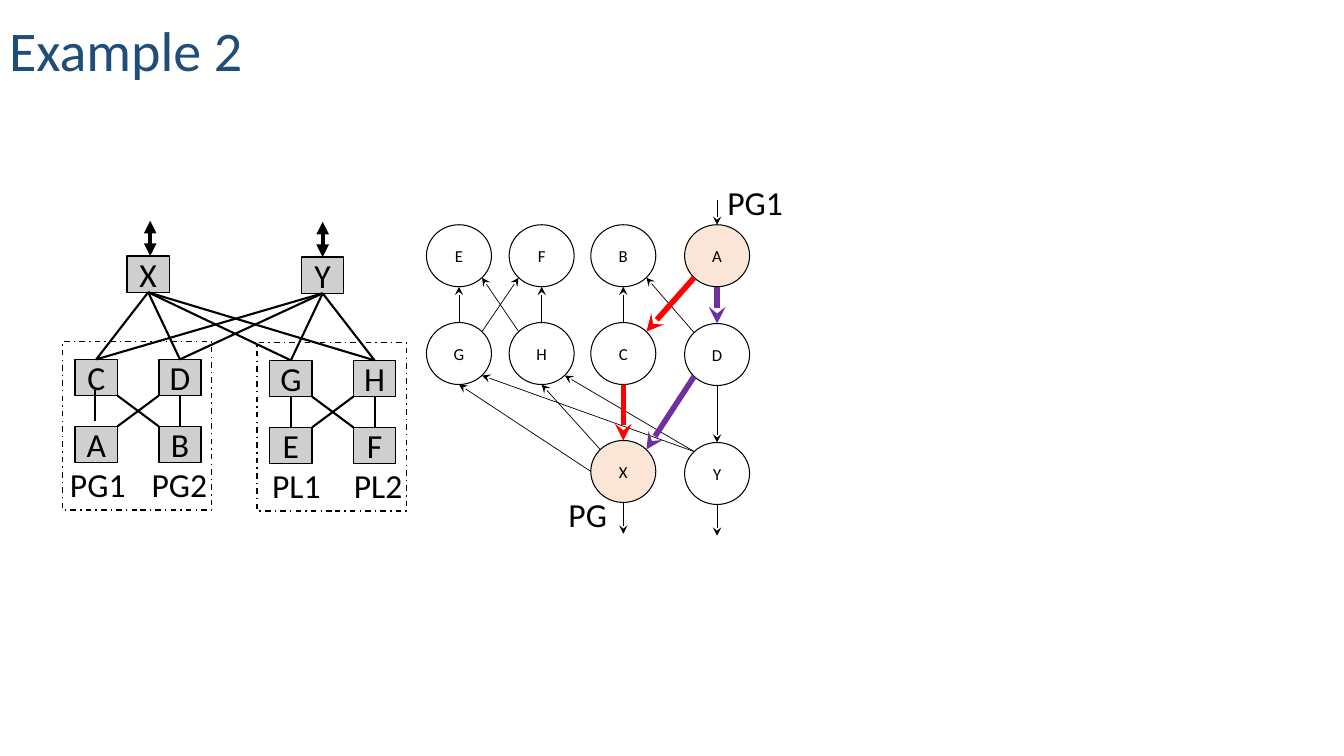
import dataclasses

import pptx
import pptx.dml.color
import pptx.enum.dml
import pptx.enum.shapes
import pptx.enum.text
import pptx.oxml.ns
import pptx.oxml.xmlchemy
import pptx.util

SHAPE = pptx.enum.shapes.MSO_SHAPE
ALIGN = pptx.enum.text.PP_ALIGN
ANCHOR = pptx.enum.text.MSO_ANCHOR


@dataclasses.dataclass(frozen=True)
class Theme:
    font: str = "Calibri"
    title_size: int = 40
    label_size: int = 24
    node_size: int = 12
    title: str = "1F4E79"
    ink: str = "000000"
    paper: str = "FFFFFF"
    switch: str = "D0CECE"
    endpoint: str = "FBE5D6"
    red_route: str = "FF0000"
    purple_route: str = "7030A0"


class Board:
    """Draws on one slide, in grid cells a tenth of an inch wide and high."""

    CELL = pptx.util.Inches(0.1)
    SIDES = {"n": (0, -1), "s": (0, 1), "w": (-1, 0), "e": (1, 0)}

    def __init__(self, slide, theme):
        self.slide = slide
        self.theme = theme

    def cells(self, *counts):
        return [round(count * self.CELL) for count in counts]

    def color(self, value):
        return pptx.dml.color.RGBColor.from_string(value)

    def add_text(self, shape, text, size, color, align=ALIGN.CENTER):
        paragraph = shape.text_frame.paragraphs[0]
        paragraph.alignment = align
        run = paragraph.add_run()
        run.text = text
        run.font.name = self.theme.font
        run.font.size = pptx.util.Pt(size)
        run.font.color.rgb = self.color(color)
        return paragraph

    def title(self, text, box):
        shape = self.slide.shapes.title
        shape.left, shape.top, shape.width, shape.height = self.cells(*box)
        shape.text_frame.vertical_anchor = ANCHOR.BOTTOM
        paragraph = self.add_text(shape, text, self.theme.title_size, self.theme.title, ALIGN.LEFT)
        paragraph.line_spacing = 0.9

    def caption(self, text, box):
        shape = self.slide.shapes.add_textbox(*self.cells(*box))
        shape.text_frame.word_wrap = True
        shape.text_frame.margin_left = shape.text_frame.margin_right = 0
        self.add_text(shape, text, self.theme.label_size, self.theme.ink)

    def outline(self, kind, box, fill=None, weight=1.0):
        shape = self.slide.shapes.add_shape(kind, *self.cells(*box))
        shape.shadow.inherit = False
        if fill:
            shape.fill.solid()
            shape.fill.fore_color.rgb = self.color(fill)
        else:
            shape.fill.background()
        shape.line.color.rgb = self.color(self.theme.ink)
        shape.line.width = pptx.util.Pt(weight)
        return shape

    def node(self, kind, box, text, size, fill, weight):
        shape = self.outline(kind, box, fill, weight)
        frame = shape.text_frame
        frame.word_wrap = False
        frame.vertical_anchor = ANCHOR.MIDDLE
        frame.margin_left = frame.margin_right = frame.margin_top = frame.margin_bottom = 0
        self.add_text(shape, text, size, self.theme.ink)
        return shape

    def port(self, shape, direction):
        """Point on the edge of a shape in a compass direction."""
        across = sum(self.SIDES[side][0] for side in direction)
        down = sum(self.SIDES[side][1] for side in direction)
        round_corner = shape.auto_shape_type == SHAPE.OVAL and len(direction) == 2
        reach = 0.71 if round_corner else 1
        x = shape.left + shape.width * (1 + reach * across) / 2
        y = shape.top + shape.height * (1 + reach * down) / 2
        return x / self.CELL, y / self.CELL

    def line(self, start, end, weight, color=None, head=None, tail=None):
        connector = self.slide.shapes.add_connector(
            pptx.enum.shapes.MSO_CONNECTOR.STRAIGHT, *self.cells(*start, *end))
        connector.line.color.rgb = self.color(color or self.theme.ink)
        connector.line.width = pptx.util.Pt(weight)
        properties = connector._element.spPr
        stroke = properties.find(pptx.oxml.ns.qn("a:ln"))
        for tag, arrow in (("a:headEnd", head), ("a:tailEnd", tail)):
            if arrow:
                stroke.append(pptx.oxml.xmlchemy.OxmlElement(tag))
                stroke[-1].set("type", arrow)
        properties.append(pptx.oxml.xmlchemy.OxmlElement("a:effectLst"))

    def link(self, start, start_side, end, end_side, weight, **style):
        self.line(self.port(start, start_side), self.port(end, end_side), weight, **style)


# Slide and title
theme = Theme()
presentation = pptx.Presentation()
presentation.slide_width = pptx.util.Inches(13.33)
presentation.slide_height = pptx.util.Inches(7.5)
board = Board(presentation.slides.add_slide(presentation.slide_layouts[5]), theme)
board.title("Example 2", (-0.1, -0.5, 65.7, 9.3))

# Route graph: nodes as name, column, row
circles = {}
for name, column, row in (
        ("E", 42.3, 22.3), ("F", 50.5, 22.3), ("B", 58.6, 22.3), ("A", 67.9, 22.3),
        ("G", 42.3, 32), ("H", 50.5, 32), ("C", 58.6, 32), ("D", 67.9, 32.1),
        ("X", 58.6, 43.7), ("Y", 67.9, 43.9)):
    fill = theme.endpoint if name in "AX" else theme.paper
    circles[name] = board.node(
        SHAPE.OVAL, (column, row, 6.45, 6.15), name, theme.node_size, fill, 0.75)

# Route graph: thin edges, then the two highlighted routes
for start, start_side, end, end_side in (
        ("G", "n", "E", "s"), ("G", "ne", "F", "sw"), ("H", "n", "F", "s"),
        ("H", "nw", "E", "se"), ("C", "n", "B", "s"), ("D", "nw", "B", "se"),
        ("D", "s", "Y", "n"), ("X", "w", "G", "s"), ("X", "nw", "H", "s"),
        ("Y", "nw", "H", "se"), ("Y", "nw", "G", "se")):
    board.link(circles[start], start_side, circles[end], end_side, 0.5, tail="stealth")

for color, upper, first_sides, middle, second_sides in (
        (theme.purple_route, "A", ("s", "n"), "D", ("sw", "ne")),
        (theme.red_route, "A", ("sw", "ne"), "C", ("s", "n"))):
    for start, end, sides in ((upper, middle, first_sides), (middle, "X", second_sides)):
        board.link(circles[start], sides[0], circles[end], sides[1], 4,
                   color=color, tail="stealth")

# Route graph: way in, ways out and captions
column, row = board.port(circles["A"], "n")
board.line((column, row - 2.5), (column, row), 0.5, tail="stealth")
for name in "XY":
    column, row = board.port(circles[name], "s")
    board.line((column, row), (column, row + 3.1), 0.5, tail="stealth")
board.caption("PG", (55.1, 48.5, 6.4, 5))
board.caption("PG1", (71.1, 17.6, 7.6, 5))

# Network: two spine switches with their uplinks
switches = {}


def add_switch(name, column, row):
    switches[name] = board.node(
        SHAPE.RECTANGLE, (column, row, 4.2, 3.6), name, theme.label_size, theme.switch, 1)


for name, column, row, uplink in (("X", 12.6, 25.4, 14.9), ("Y", 29.9, 25.5, 32)):
    add_switch(name, column, row)
    board.line((uplink, row - 3.5), (uplink, row), 3, head="triangle", tail="triangle")

# Network: two pods of the same form
for column, row, upper, lower, captions in (
        (6.2, 33.9, "CD", "AB", (("PG1", 5.9), ("PG2", 14))),
        (25.5, 34, "GH", "EF", (("PL1", 25.6), ("PL2", 33.7)))):
    for names, drop in ((upper, 1.75), (lower, 8.4)):
        for place, name in enumerate(names):
            add_switch(name, column + 1.25 + 8.3 * place, row + drop)
    for text, left in captions:
        board.caption(text, (left, row + 11.6, 7.6, 5))
    pod = board.outline(SHAPE.RECTANGLE, (column, row, 14.8, 16.7))
    pod.line.dash_style = pptx.enum.dml.MSO_LINE.DASH_DOT

    left, right = upper
    for spine in "XY":
        for name in upper:
            board.link(switches[spine], "s", switches[name], "n", 1.5)
    board.link(switches[left], "se", switches[lower[1]], "nw", 1.5)
    board.link(switches[right], "sw", switches[lower[0]], "ne", 1.5)
    board.link(switches[right], "s", switches[lower[1]], "n", 1.5)

# Left-hand verticals: the one from C starts inside its box
board.line((9.4, 38.7), (9.4, 41.8), 1.5)
board.link(switches["G"], "s", switches["E"], "n", 1.5)

presentation.save("out.pptx")
